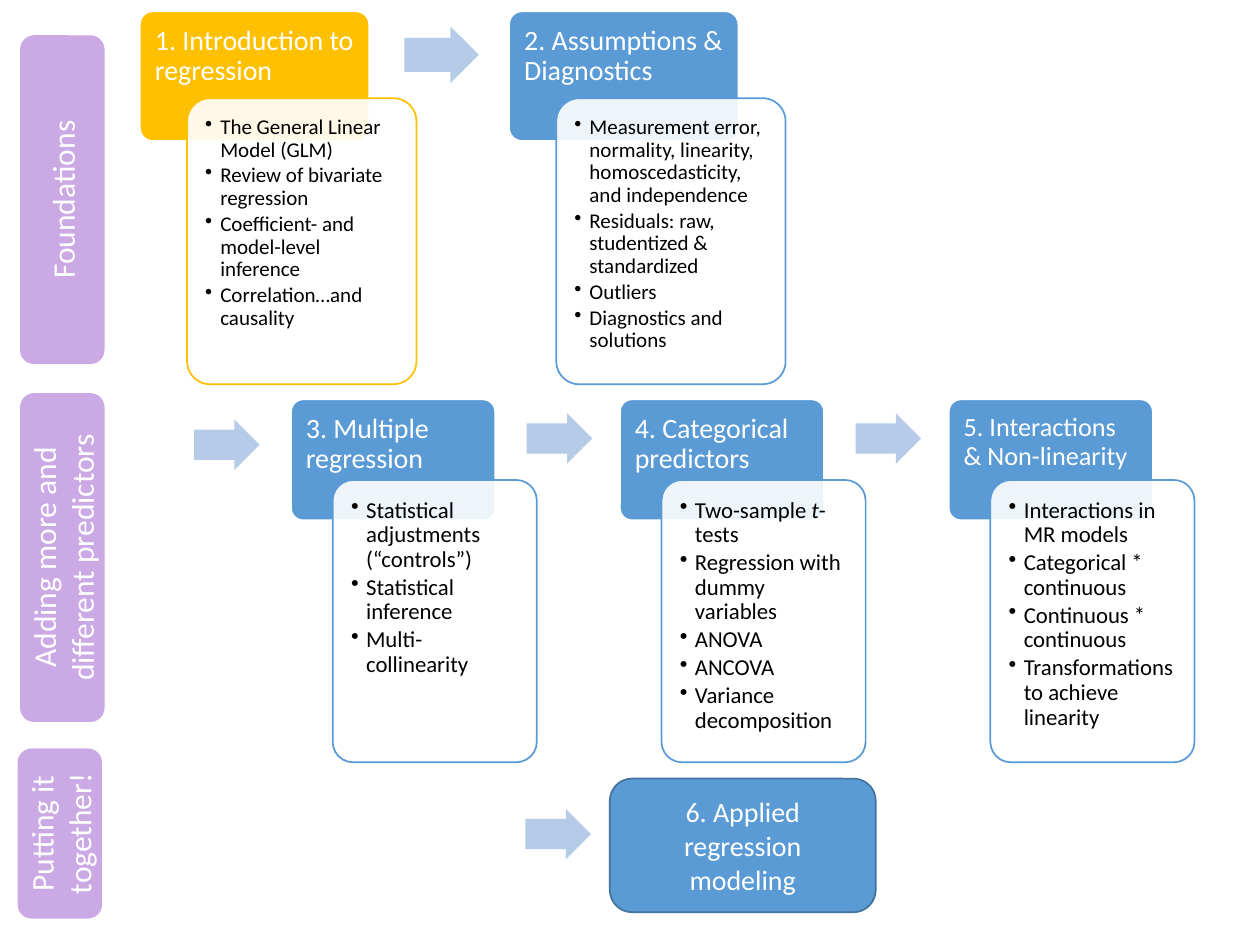
from pptx import Presentation
from pptx.dml.color import RGBColor
from pptx.enum.shapes import MSO_SHAPE
from pptx.enum.text import MSO_ANCHOR, PP_ALIGN
from pptx.oxml import parse_xml
from pptx.oxml.ns import nsdecls, qn
from pptx.util import Inches, Pt
from lxml.etree import SubElement

HUES = {"gold": "FFC000", "blue": "5B9BD5", "edge": "43739E", "pale": "B5CBE7",
        "plum": "CBA9E5", "white": "FFFFFF", "black": "000000"}


class Board:
    font = "Calibri"

    def __init__(self, slide):
        self.slide = slide

    def hue(self, name):
        return RGBColor.from_string(HUES[name])

    def shape(self, kind, box, fill, line=None, adj=()):
        item = self.slide.shapes.add_shape(kind, *map(Inches, box))
        item.shadow.inherit = False
        item.fill.solid()
        item.fill.fore_color.rgb = self.hue(fill)
        if line:
            item.line.color.rgb = self.hue(line)
            item.line.width = Pt(1)
        else:
            item.line.fill.background()
        for i, value in enumerate(adj):
            item.adjustments[i] = value
        return item

    def style(self, para, size, color, align):
        para.alignment = align
        for run in para.runs:
            run.font.name = self.font
            run.font.size = Pt(size)
            run.font.color.rgb = self.hue(color)

    def inset(self, frame, side, top, bottom):
        frame.margin_left = frame.margin_right = Inches(side)
        frame.margin_top, frame.margin_bottom = Inches(top), Inches(bottom)
        frame.vertical_anchor = MSO_ANCHOR.TOP

    def label(self, box, text, size, fill, line=None, turn=False):
        item = self.shape(MSO_SHAPE.ROUNDED_RECTANGLE, box, fill, line)
        frame = item.text_frame
        frame.text = text
        frame.word_wrap = True
        frame.vertical_anchor = MSO_ANCHOR.MIDDLE
        if turn:
            item.element.txBody.find(qn("a:bodyPr")).set("vert", "vert270")
        self.style(frame.paragraphs[0], size, "white", PP_ALIGN.CENTER)

    def head(self, box, text, size, fill):
        item = self.shape(MSO_SHAPE.ROUNDED_RECTANGLE, box, fill, "white", [0.1])
        frame = item.text_frame
        frame.text = text
        frame.word_wrap = True
        self.inset(frame, 0.09, 0.09, 0.07)
        para = frame.paragraphs[0]
        para.line_spacing = 0.9
        self.style(para, size, "white", PP_ALIGN.LEFT)

    def panel(self, box, points, size, line, pad):
        item = self.shape(MSO_SHAPE.ROUNDED_RECTANGLE, box, "white", line, [0.1])
        tint = item.element.spPr.find(qn("a:solidFill"))[0]
        SubElement(tint, qn("a:alpha")).set("val", "90000")
        frame = item.text_frame
        frame.word_wrap = True
        self.inset(frame, pad, pad, pad)
        for i, point in enumerate(points):
            para = frame.add_paragraph() if i else frame.paragraphs[0]
            for j, part in enumerate(point.split("_")):
                run = para.add_run()
                run.text = part
                if j % 2:
                    run.font.italic = True
            para.line_spacing = 0.9
            para.space_after = Pt(round(size * 0.15, 1))
            self.style(para, size, "black", PP_ALIGN.LEFT)
            props = para._p.get_or_add_pPr()
            props.set("marL", str(Inches(0.12)))
            props.set("indent", str(-Inches(0.12)))
            props.append(parse_xml(f'<a:buChar {nsdecls("a")} char="•"/>'))

    def arrow(self, left, top, wide=0.52, high=0.4):
        self.shape(MSO_SHAPE.RIGHT_ARROW, (left, top, wide, high), "pale", adj=[0.6, 0.5])


TOP = [
    ("1. Introduction to regression", 16, "gold",
     ["The General Linear Model (GLM)", "Review of bivariate regression",
      "Coefficient- and model-level inference", "Correlation…and causality"]),
    ("2. Assumptions & Diagnostics", 16, "blue",
     ["Measurement error, normality, linearity, homoscedasticity, and independence",
      "Residuals: raw, studentized & standardized", "Outliers",
      "Diagnostics and solutions"]),
]
MID = [
    ("3. Multiple regression", 16, "blue",
     ["Statistical adjustments (“controls”)", "Statistical inference",
      "Multi-collinearity"]),
    ("4. Categorical predictors", 16, "blue",
     ["Two-sample _t_-tests", "Regression with dummy variables", "ANOVA", "ANCOVA",
      "Variance decomposition"]),
    ("5. Interactions & Non-linearity", 15, "blue",
     ["Interactions in MR models", "Categorical * continuous",
      "Continuous * continuous", "Transformations to achieve linearity"]),
]
ROWS = [
    dict(cards=TOP, left=1.11, top=0.09, step=2.93, wide=1.82, high=1.03, shift=0.375,
         drop=0.69, tall=2.27, size=12, pad=0.09, arrow=(2.1, 0.12, 0.59, 0.45)),
    dict(cards=MID, left=2.31, top=3.17, step=2.61, wide=1.62, high=0.96, shift=0.33,
         drop=0.64, tall=2.24, size=13, pad=0.1, arrow=(1.87, 0.11, 0.52, 0.4)),
]
TABS = [
    ("Foundations", 0.16, 0.28, 2.61),
    ("Adding more and different predictors", 0.16, 3.12, 2.61),
    ("Putting it together!", 0.14, 5.94, 1.35),
]

deck = Presentation()
deck.slide_width, deck.slide_height = Inches(10), Inches(7.5)
board = Board(deck.slides.add_slide(deck.slide_layouts[6]))

for row in ROWS:
    top = row["top"]
    for i, (title, size, color, points) in enumerate(row["cards"]):
        left = row["left"] + i * row["step"]
        board.head((left, top, row["wide"], row["high"]), title, size, color)
        board.panel((left + row["shift"], top + row["drop"], row["wide"], row["tall"]),
                    points, row["size"], color, row["pad"])
        if i < len(row["cards"]) - 1:
            over, down, wide, high = row["arrow"]
            board.arrow(left + over, top + down, wide, high)

board.label((4.84, 6.18, 2.11, 1.06), "6. Applied regression modeling", 16, "blue", "edge")
board.arrow(1.54, 3.33)
board.arrow(4.17, 6.42)
for text, left, top, high in TABS:
    board.label((left, top, 0.67, high), text, 18, "plum", turn=True)

deck.save("out.pptx")
